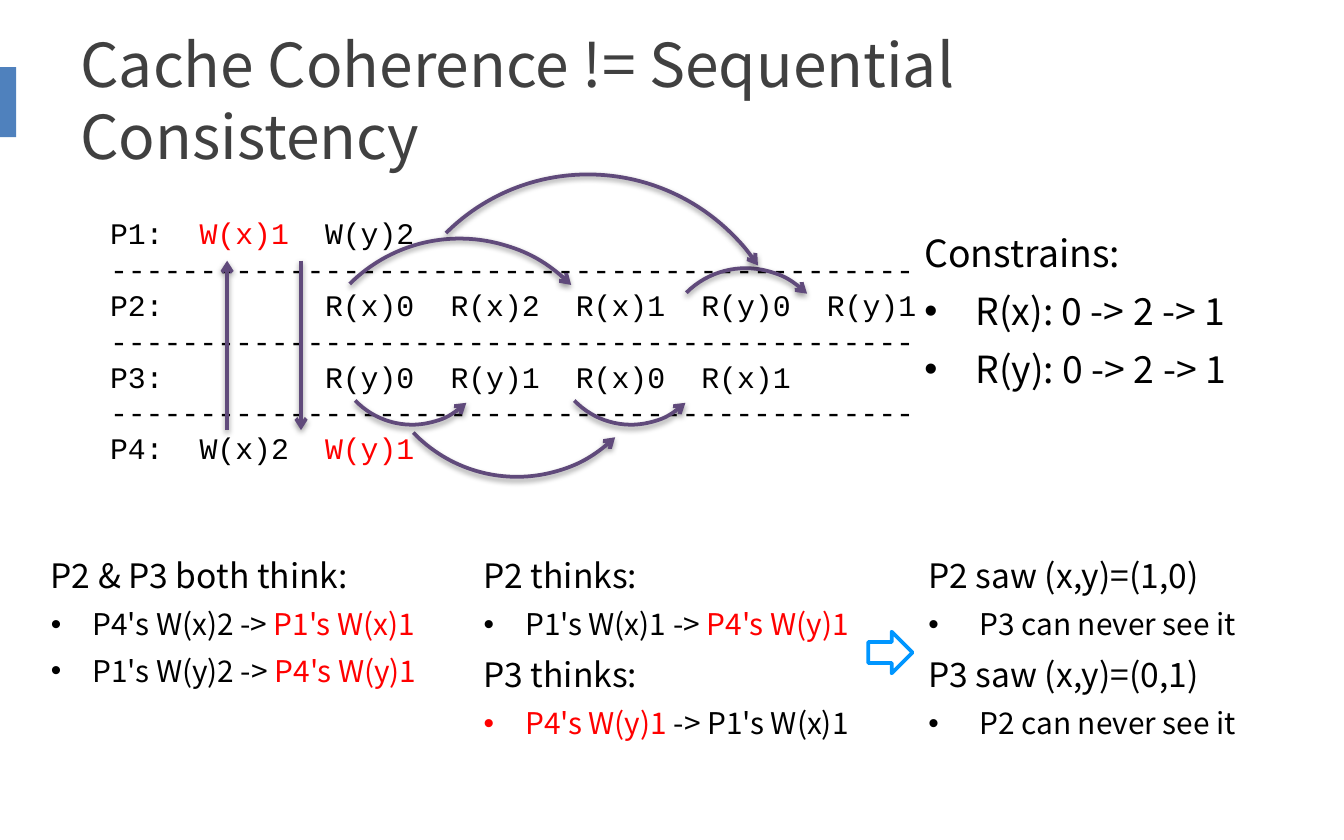
"""Build the slide that sets cache coherence against sequential consistency."""
from lxml.etree import SubElement
from pptx import Presentation
from pptx.dml.color import RGBColor
from pptx.enum.shapes import MSO_CONNECTOR, MSO_SHAPE
from pptx.enum.text import MSO_ANCHOR, MSO_AUTO_SIZE
from pptx.oxml.ns import qn
from pptx.util import Inches, Pt

BLACK = RGBColor(0x00, 0x00, 0x00)
RED = RGBColor(0xFF, 0x00, 0x00)
GRAY = RGBColor(0x40, 0x40, 0x40)
BLUE = RGBColor(0x4F, 0x81, 0xBD)
SKY = RGBColor(0x00, 0x96, 0xFF)
PLUM = RGBColor(0x60, 0x4A, 0x7B)
SANS, MONO = "Noto Sans CJK SC", "Courier New"

TITLE = "Cache Coherence != Sequential Consistency"

RULE = "-" * 45
TRACE = [
    ["P1:", "*W(x)1*", "W(y)2"],
    [RULE],
    ["P2:", "", "R(x)0", "R(x)2", "R(x)1", "R(y)0", "R(y)1"],
    [RULE],
    ["P3:", "", "R(y)0", "R(y)1", "R(x)0", "R(x)1"],
    [RULE],
    ["P4:", "W(x)2", "*W(y)1*"],
]
CHAR = 0.6 * 16 / 72
STOPS = [CHAR * (5 + 7 * col) for col in range(6)]

NOTES = [
    ((0.28, 3.99, 4.33, 1.17), 18, 16, 0.31, [
        "P2 & P3 both think:",
        "•P4's W(x)2 -> *P1's W(x)1*",
        "•P1's W(y)2 -> *P4's W(y)1*"]),
    ((3.5, 3.99, 4.33, 1.59), 18, 16, 0.31, [
        "P2 thinks:",
        "•P1's W(x)1 -> *P4's W(y)1*",
        "P3 thinks:",
        "•*P4's W(y)1* -> P1's W(x)1"]),
    ((6.81, 3.99, 3.1, 1.59), 18, 16, 0.38, [
        "P2 saw (x,y)=(1,0)",
        "•P3 can never see it",
        "P3 saw (x,y)=(0,1)",
        "•P2 can never see it"]),
    ((6.78, 1.56, 2.68, 1.41), 20, 20, 0.38, [
        "Constrains:",
        "•R(x): 0 -> 2 -> 1",
        "•R(y): 0 -> 2 -> 1"]),
]

OVER, UNDER = (315, "tailEnd"), (136.2, "headEnd")
ARCS = [
    ((2.27, 1.77, 2.32, 2.34), OVER, 0),
    ((2.78, 1.42, 2.12, 2.13), UNDER, 0),
    ((2.48, 1.99, 1.17, 1.17), UNDER, 0),
    ((4.11, 1.99, 1.17, 1.17), UNDER, 0),
    ((4.93, 1.99, 1.26, 1.28), OVER, 0),
    ((2.89, 1.29, 3, 3.03), OVER, 6.848),
]
LINES = [(1.69, 3.2, 1.69, 1.94), (2.24, 1.94, 2.24, 3.2)]

FRAME = {"word_wrap": True, "auto_size": MSO_AUTO_SIZE.NONE}
SHADE = {"blurRad": Pt(3.1), "dist": Pt(1.6), "dir": 90 * 60000, "rotWithShape": 0}


def put(obj, form):
    for key, val in form.items():
        setattr(obj, key, val)


def node(root, tag, **atts):
    return SubElement(root, qn(tag), {key: str(val) for key, val in atts.items()})


def box(slide, at, **form):
    frame = slide.shapes.add_textbox(*map(Inches, at)).text_frame
    put(frame, FRAME | form)
    return frame


def write(para, text, size, name=SANS, base=BLACK):
    for turn, part in enumerate(text.split("*")):
        if part:
            run = para.add_run()
            run.text = part
            put(run.font, {"size": Pt(size), "name": name})
            run.font.color.rgb = RED if turn % 2 else base


def rows(frame, items):
    for num, item in enumerate(items):
        yield frame.add_paragraph() if num else frame.paragraphs[0], item


def trace(slide):
    frame = box(slide, (0.72, 1.55, 8.88, 2.02))
    for para, cells in rows(frame, TRACE):
        write(para, "\t".join(cells), 16, MONO)
        tabs = node(para._p.get_or_add_pPr(), "a:tabLst")
        for stop in STOPS:
            node(tabs, "a:tab", pos=Inches(stop), algn="l")


def note(slide, at, head, size, gap, items):
    for para, item in rows(box(slide, at), items):
        para.line_spacing = 1.3
        mark = item.startswith("•")
        write(para, item.lstrip("•"), size if mark else head)
        if mark:
            props = para._p.get_or_add_pPr()
            props.set("marL", str(Inches(gap)))
            props.set("indent", str(-Inches(gap)))
            node(props, "a:buFont", typeface="Arial")
            node(props, "a:buChar", char="•")


def style(shape, end):
    shape.line.color.rgb = PLUM
    shape.line.width = Pt(2)
    props = shape._element.spPr
    node(props.find(qn("a:ln")), "a:" + end, type="arrow")
    cast = node(node(props, "a:effectLst"), "a:outerShdw", **SHADE)
    node(node(cast, "a:srgbClr", val="000000"), "a:alpha", val=38000)


def plain(slide, kind, at):
    shape = slide.shapes.add_shape(kind, *map(Inches, at))
    shape.shadow.inherit = False
    return shape


def main():
    deck = Presentation()
    put(deck, {"slide_width": Inches(10), "slide_height": Inches(6.25)})
    slide = deck.slides.add_slide(deck.slide_layouts[6])

    bar = plain(slide, MSO_SHAPE.RECTANGLE, (-0.06, 0.5, 0.18, 0.52))
    bar.fill.solid()
    bar.fill.fore_color.rgb = BLUE
    bar.line.fill.background()

    title = box(slide, (0.5, 0.25, 9, 0.98), vertical_anchor=MSO_ANCHOR.MIDDLE)
    write(title.paragraphs[0], TITLE, 32.4, base=GRAY)
    trace(slide)
    for item in NOTES:
        note(slide, *item)

    for at, (turn, end), stop in ARCS:
        arc = slide.shapes.add_shape(MSO_SHAPE.ARC, *map(Inches, at))
        arc.rotation = turn
        arc.adjustments[1] = stop
        arc.fill.background()
        style(arc, end)
    for ends in LINES:
        line = slide.shapes.add_connector(MSO_CONNECTOR.STRAIGHT, *map(Inches, ends))
        style(line, "tailEnd")

    arrow = plain(slide, MSO_SHAPE.RIGHT_ARROW, (6.46, 4.7, 0.33, 0.31))
    arrow.fill.background()
    arrow.line.color.rgb = SKY
    arrow.line.width = Pt(2)
    deck.save("out.pptx")


if __name__ == "__main__":
    main()
